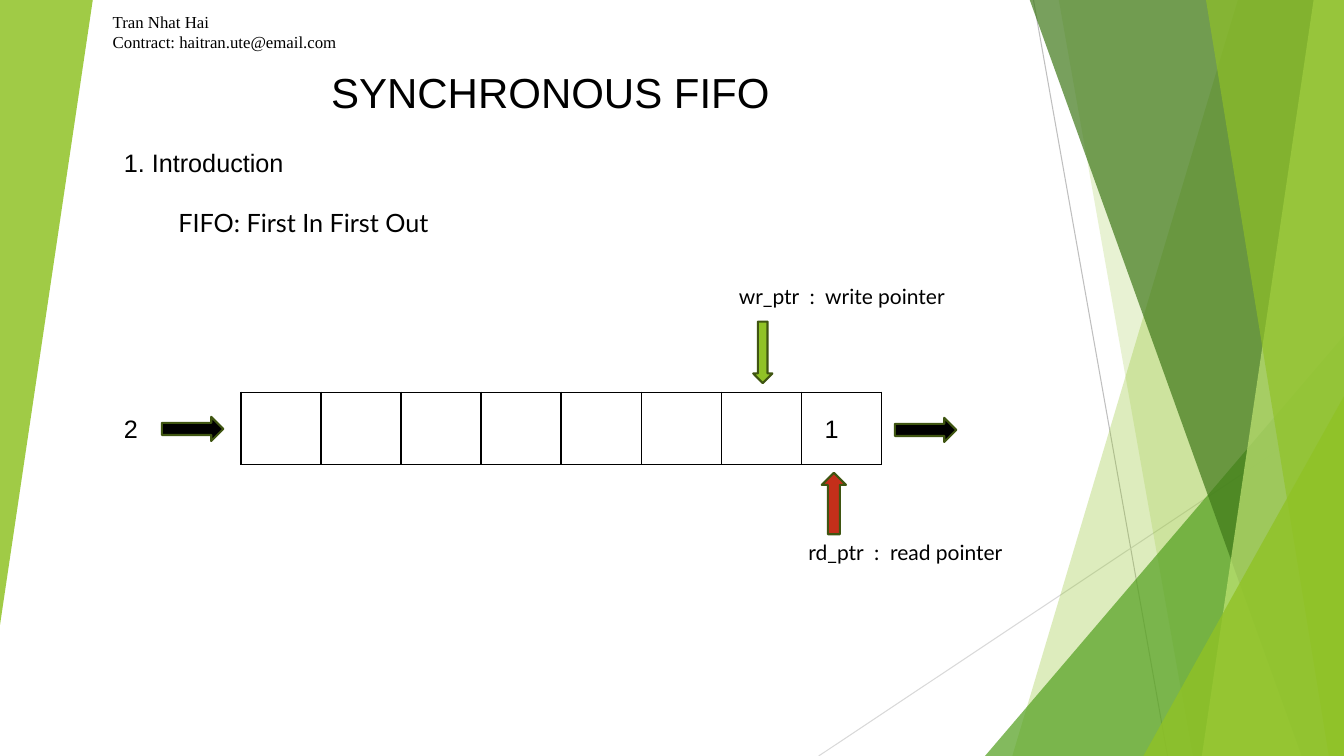
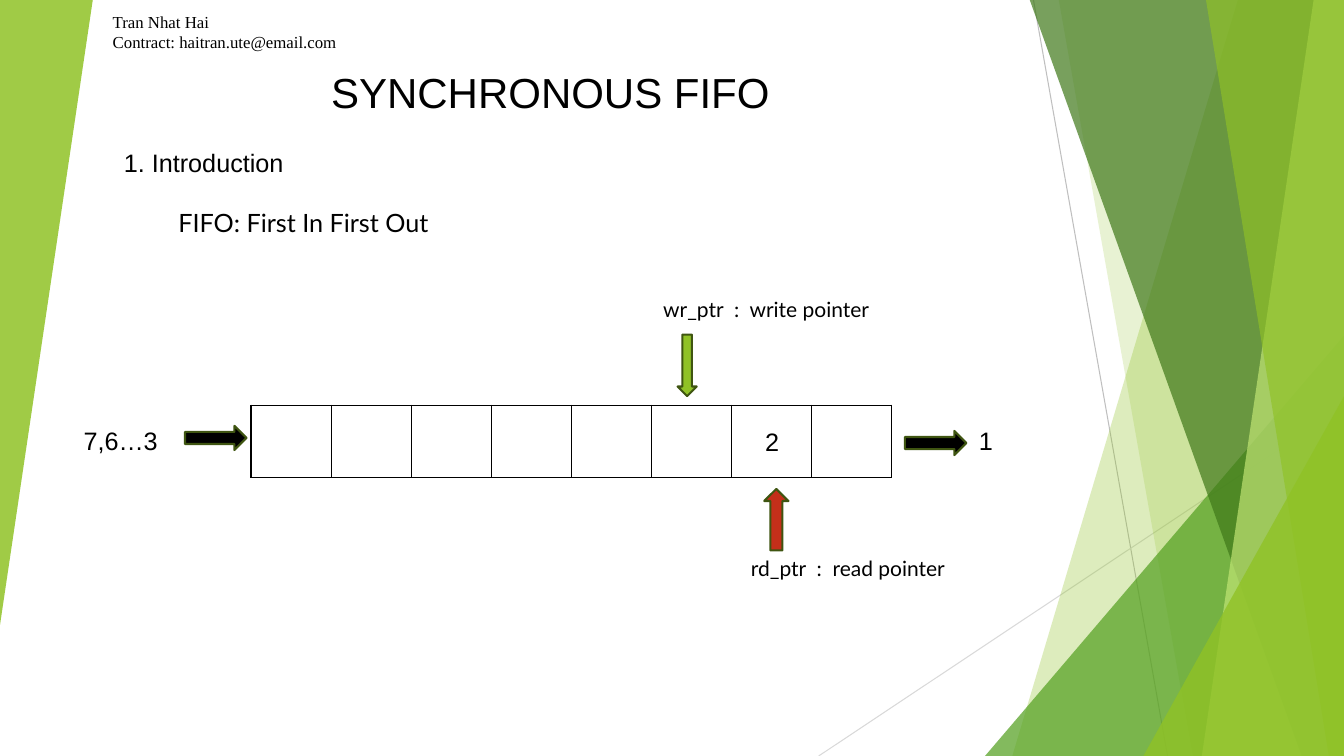
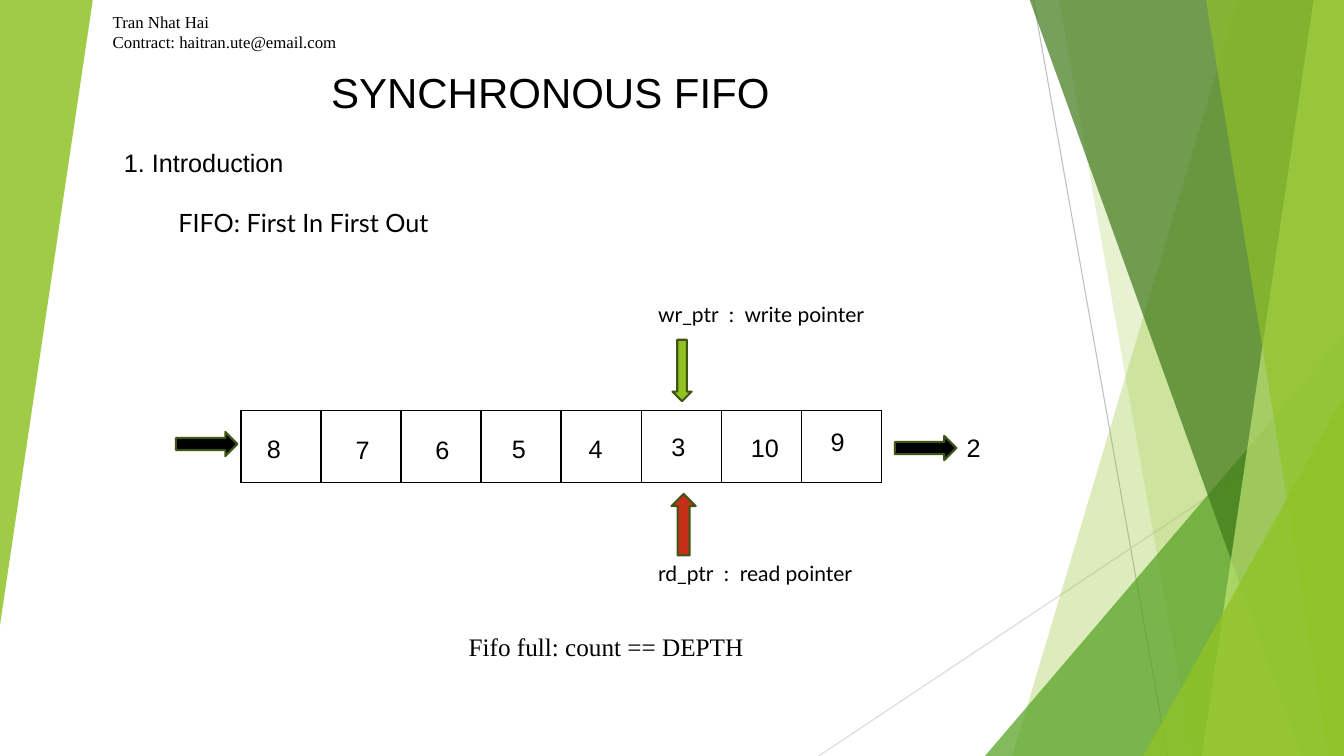
from dataclasses import dataclass

from pptx import Presentation
from pptx.dml.color import RGBColor
from pptx.enum.shapes import MSO_CONNECTOR, MSO_SHAPE, PP_PLACEHOLDER
from pptx.enum.text import MSO_ANCHOR, MSO_AUTO_SIZE, PP_ALIGN
from pptx.oxml.ns import qn
from pptx.shapes.base import BaseShape
from pptx.slide import Slide, SlideLayout
from pptx.util import Emu, Pt
from lxml import etree

STRAIGHT = MSO_CONNECTOR.STRAIGHT
TRIANGLE = MSO_SHAPE.ISOSCELES_TRIANGLE
DOWN_ARROW = MSO_SHAPE.DOWN_ARROW
TITLE = PP_PLACEHOLDER.TITLE
TOP = MSO_ANCHOR.TOP
GROW = MSO_AUTO_SIZE.SHAPE_TO_FIT_TEXT
LEFT = PP_ALIGN.LEFT
CENTER = PP_ALIGN.CENTER

EMU_PER_PX = 9144
PAGE_WIDTH, PAGE_HEIGHT = 1333, 750
TITLE_ONLY = 5
CELL_COUNT = 8
CELL_EDGES = ("a:lnL", "a:lnR", "a:lnT", "a:lnB")
COLORS = {
    "black": "000000",
    "lime": "90C226",
    "green": "54A021",
    "forest": "3F7819",
    "pale": "C0E474",
    "red": "C42F1A",
    "outline": "3F5511",
    "gray": "BFBFBF",
    "light_gray": "D9D9D9",
}
SANS, LABEL, SERIF = "Arial", "Lato", "Times New Roman"

Point = tuple[int, int]
Area = tuple[int, int, int, int]


@dataclass(frozen=True)
class Ray:
    start: Point
    end: Point
    color: str


@dataclass(frozen=True)
class Band:
    top_left: int
    bottom_left: int
    color: str
    opacity: int
    top_right: int = PAGE_WIDTH


@dataclass(frozen=True)
class Wedge:
    area: Area
    color: str
    opacity: int
    rotation: int = 0


@dataclass(frozen=True)
class Value:
    text: str
    left: int
    top: int
    width: int = 33


@dataclass(frozen=True)
class QueueState:
    queue: Point
    write_left: int
    read: Point
    input_arrow: Point
    values: tuple[Value, ...]
    note: str = ""


RAYS = (
    Ray((1025, 0), (1158, 750), "gray"),
    Ray((1333, 403), (812, 750), "light_gray"),
)
FACETS = (
    Band(1228, 1004, "lime", 30),
    Band(1050, 1183, "lime", 20),
    Wedge((977, 333, 356, 417), "green", 72),
    Band(1021, 1291, "forest", 70),
    Band(1303, 1192, "pale", 70),
    Band(1196, 1318, "lime", 65),
    Wedge((1134, 393, 199, 357), "lime", 80),
    Wedge((0, 0, 92, 620), "lime", 85, 180),
)
STATES = (
    QueueState((239, 389), 747, (815, 469), (179, 395),
               (Value("1", 808, 405, 37), Value("2", 113, 405))),
    QueueState((249, 402), 672, (758, 485), (202, 404),
               (Value("1", 961, 417, 37), Value("2", 749, 418),
                Value("7,6…3", 73, 417, 109))),
    QueueState((239, 407), 667, (666, 490), (193, 410),
               (Value("2", 949, 424), Value("8", 255, 425, 37),
                Value("7", 343, 426), Value("6", 422, 426),
                Value("5", 498, 425), Value("4", 574, 425),
                Value("3", 656, 423), Value("10", 735, 424, 53),
                Value("9", 814, 418)),
               "Fifo full: count == DEPTH"),
)


def px(length: int) -> Emu:
    return Emu(length * EMU_PER_PX)


def rgb(name: str) -> RGBColor:
    return RGBColor.from_string(COLORS[name])


def paint(shape: BaseShape, color: str, opacity: int = 100, outline: str = "") -> None:
    shape.shadow.inherit = False
    shape.fill.solid()
    shape.fill.fore_color.rgb = rgb(color)
    if opacity < 100:
        fill_color = next(shape.element.iter(qn("a:srgbClr")))
        etree.SubElement(fill_color, qn("a:alpha"), val=str(opacity * 1000))
    if outline:
        shape.line.color.rgb = rgb(outline)
        shape.line.width = Pt(1.5)
    else:
        shape.line.fill.background()


def draw_ray(page: Slide, ray: Ray) -> BaseShape:
    line = page.shapes.add_connector(STRAIGHT, *map(px, ray.start + ray.end))
    line.line.color.rgb = rgb(ray.color)
    line.line.width = Pt(0.75)
    etree.SubElement(line.element.spPr, qn("a:effectLst"))
    return line


def draw_facet(page: Slide, facet: Band | Wedge) -> BaseShape:
    if isinstance(facet, Band):
        outline = page.shapes.build_freeform(facet.top_left, -1, scale=EMU_PER_PX)
        outline.add_line_segments([
            (PAGE_WIDTH, -1),
            (PAGE_WIDTH, PAGE_HEIGHT),
            (facet.bottom_left, PAGE_HEIGHT),
        ])
        shape = outline.convert_to_shape()
    else:
        shape = page.shapes.add_shape(TRIANGLE, *map(px, facet.area))
        shape.adjustments[0] = 1.0
        shape.rotation = facet.rotation
    paint(shape, facet.color, facet.opacity)
    return shape


def decorate(layout: SlideLayout, page: Slide) -> None:
    for holder in list(layout.placeholders):
        if holder.placeholder_format.type != TITLE:
            layout.shapes.element.remove(holder.element)
    shapes = [draw_ray(page, ray) for ray in RAYS]
    shapes += [draw_facet(page, facet) for facet in FACETS]
    for shape in shapes:
        layout.shapes.element.append(shape.element)


def write_text(page: Slide, text: str, area: Area, *, size: int = 18,
               font: str = SANS, align: PP_ALIGN = LEFT,
               box: BaseShape | None = None) -> None:
    if box is None:
        box = page.shapes.add_textbox(*map(px, area))
    box.left, box.top, box.width, box.height = map(px, area)
    frame = box.text_frame
    frame.word_wrap = True
    frame.auto_size = GROW
    frame.vertical_anchor = TOP
    para = frame.paragraphs[0]
    para.text = text
    para.alignment = align
    for span in para.runs:
        span.font.size = Pt(size)
        span.font.name = font
        span.font.color.rgb = rgb("black")


def draw_arrow(page: Slide, left: int, top: int, color: str, *,
               width: int = 24, rotation: int = 0) -> None:
    arrow = page.shapes.add_shape(DOWN_ARROW, *map(px, (left, top, width, 61)))
    arrow.rotation = rotation
    paint(arrow, color, outline="outline")


def draw_queue(page: Slide, left: int, top: int) -> None:
    table = page.shapes.add_table(1, CELL_COUNT, *map(px, (left, top, 635, 72))).table
    table.first_row = False
    table.horz_banding = False
    for cell in table.iter_cells():
        properties = cell._tc.get_or_add_tcPr()
        for edge in CELL_EDGES:
            border = etree.SubElement(properties, qn(edge), w=str(Pt(1)))
            fill = etree.SubElement(border, qn("a:solidFill"))
            etree.SubElement(fill, qn("a:srgbClr"), val=COLORS["black"])
        cell.fill.background()


def draw_heading(page: Slide) -> None:
    write_text(page, "SYNCHRONOUS FIFO", (218, 61, 656, 61), size=30,
               align=CENTER, box=page.shapes.title)
    write_text(page, "1. Introduction", (113, 141, 192, 40))
    write_text(page, "FIFO: First In First Out", (167, 201, 546, 40), font=LABEL)
    write_text(page, "Tran Nhat Hai\nContract: haitran.ute@email.com",
               (102, 7, 273, 50), size=12, font=SERIF)


def draw_state(page: Slide, state: QueueState) -> None:
    queue_left, queue_top = state.queue
    read_left, read_top = state.read
    write_top = queue_top - 70
    draw_queue(page, queue_left, queue_top)
    draw_arrow(page, state.write_left, write_top, "lime", width=19)
    draw_arrow(page, read_left, read_top, "red", rotation=180)
    draw_arrow(page, *state.input_arrow, "black", rotation=270)
    draw_arrow(page, queue_left + 667, queue_top + 7, "black", rotation=270)
    write_text(page, "wr_ptr  :  write pointer",
               (state.write_left - 24, write_top - 43, 243, 35), size=15, font=LABEL)
    write_text(page, "rd_ptr  :  read pointer",
               (read_left - 23, read_top + 61, 263, 35), size=15, font=LABEL)
    for value in state.values:
        write_text(page, value.text, (value.left, value.top, value.width, 40))
    if state.note:
        write_text(page, state.note, (455, 621, 328, 40), font=SERIF)


def main() -> None:
    deck = Presentation()
    deck.slide_width, deck.slide_height = px(PAGE_WIDTH), px(PAGE_HEIGHT)
    layout = deck.slide_layouts[TITLE_ONLY]
    pages = [deck.slides.add_slide(layout) for _ in STATES]
    decorate(layout, pages[0])
    for page, state in zip(pages, STATES):
        draw_heading(page)
        draw_state(page, state)
    deck.save("out.pptx")


if __name__ == "__main__":
    main()
